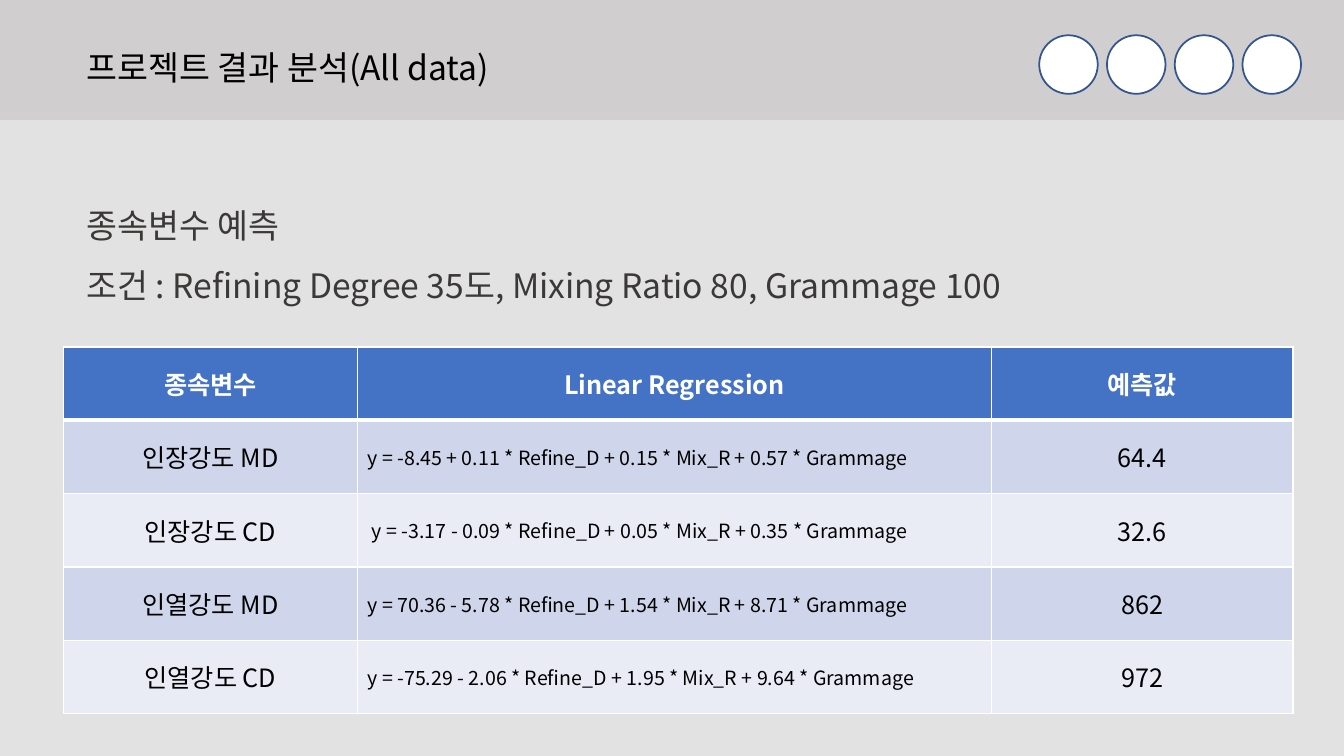
"""Build the slide of predicted dependent variables."""
import lxml.etree
import pptx
import pptx.dml.color
import pptx.enum.shapes
import pptx.enum.text
import pptx.oxml
import pptx.oxml.ns
import pptx.util

Pt = pptx.util.Pt
RGBColor = pptx.dml.color.RGBColor
Shape = pptx.enum.shapes.MSO_SHAPE
Align = pptx.enum.text.PP_ALIGN
Anchor = pptx.enum.text.MSO_ANCHOR
qn = pptx.oxml.ns.qn

FONT = "Noto Sans CJK KR"
BLACK = RGBColor(0, 0, 0)
WHITE = RGBColor(255, 255, 255)
GRAY = RGBColor(0xD0, 0xCE, 0xCE)
PANEL = RGBColor(0xE7, 0xE6, 0xE6)
DARK = RGBColor(0x3B, 0x38, 0x38)
NAVY = RGBColor(0x32, 0x54, 0x91)
BLUE = RGBColor(0x44, 0x72, 0xC4)
BANDS = [RGBColor(0xCF, 0xD5, 0xEA), RGBColor(0xE9, 0xEB, 0xF5)]


def write(para, text, size, color, bold=False):
    run = para.add_run()
    run.text = text
    font = run.font
    font.size, font.bold, font.name = Pt(size), bold, FONT
    font.color.rgb = color
    east = lxml.etree.SubElement(run._r.get_or_add_rPr(), qn("a:ea"))
    east.set("typeface", FONT)


def edge(cell, side, width):
    line = pptx.oxml.parse_xml(
        f'<a:ln{side} xmlns:a="http://schemas.openxmlformats.org/drawingml/2006/main"'
        f' w="{Pt(width)}"><a:solidFill><a:srgbClr val="{WHITE}"/></a:solidFill></a:ln{side}>')
    cell._tc.get_or_add_tcPr().append(line)


deck = pptx.Presentation()
deck.slide_width, deck.slide_height = Pt(960), Pt(540)
slide = deck.slides.add_slide(deck.slide_layouts[5])
back = slide.background.fill
back.solid()
back.fore_color.rgb = GRAY

for i in range(4):
    dot = slide.shapes.add_shape(Shape.OVAL, Pt(742.3 + 48.4 * i), Pt(25.2), Pt(41.8), Pt(41.8))
    dot.shadow.inherit = False
    dot.fill.solid()
    dot.fill.fore_color.rgb = WHITE
    dot.line.color.rgb = NAVY
    dot.line.width = Pt(1.25)

panel = slide.shapes.add_shape(Shape.RECTANGLE, 0, Pt(85.7), Pt(960), Pt(454.3))
panel.shadow.inherit = False
panel.fill.solid()
panel.fill.fore_color.rgb = PANEL
tint = panel.fill._xPr.find(".//" + qn("a:srgbClr"))
lxml.etree.SubElement(tint, qn("a:alpha")).set("val", "85000")
panel.line.fill.background()

title = slide.shapes.title
title.left, title.top, title.width, title.height = Pt(54.7), Pt(30.2), Pt(356.4), Pt(36.3)
frame = title.text_frame
frame.auto_size = pptx.enum.text.MSO_AUTO_SIZE.NONE
frame.vertical_anchor = Anchor.TOP
frame.paragraphs[0].alignment = Align.LEFT
write(frame.paragraphs[0], "프로젝트 결과 분석(All data)", 24, BLACK)

ROWS = [
    ("종속변수", "Linear Regression", "예측값"),
    ("인장강도 MD", "y = -8.45 + 0.11 * Refine_D + 0.15 * Mix_R + 0.57 * Grammage", "64.4"),
    ("인장강도 CD", " y = -3.17 - 0.09 * Refine_D + 0.05 * Mix_R + 0.35 * Grammage", "32.6"),
    ("인열강도 MD", "y = 70.36 - 5.78 * Refine_D + 1.54 * Mix_R + 8.71 * Grammage", "862"),
    ("인열강도 CD", "y = -75.29 - 2.06 * Refine_D + 1.95 * Mix_R + 9.64 * Grammage", "972"),
]
table = slide.shapes.add_table(5, 3, Pt(45.3), Pt(247.8), Pt(878.4), Pt(262)).table
for col, width in zip(table.columns, (210, 453, 215.4)):
    col.width = Pt(width)
for r, row in enumerate(ROWS):
    table.rows[r].height = Pt(52.4)
    head = r == 0
    for c, text in enumerate(row):
        cell = table.cell(r, c)
        cell.vertical_anchor = Anchor.MIDDLE
        for side in "LRTB":
            thick = (head and side == "B") or (r == 1 and side == "T")
            edge(cell, side, 3 if thick else 1)
        cell.fill.solid()
        cell.fill.fore_color.rgb = BLUE if head else BANDS[(r - 1) % 2]
        rule = c == 1 and not head
        para = cell.text_frame.paragraphs[0]
        para.alignment = Align.LEFT if rule else Align.CENTER
        write(para, text, 14 if rule else 18, WHITE if head else BLACK, head)

box = slide.shapes.add_textbox(Pt(54.7), Pt(128.2), Pt(699.8), Pt(89.3))
frame = box.text_frame
frame.word_wrap = True
notes = ["종속변수 예측", "조건 : Refining Degree 35도, Mixing Ratio 80, Grammage 100"]
for i, text in enumerate(notes):
    para = frame.add_paragraph() if i else frame.paragraphs[0]
    para.line_spacing = 1.5
    write(para, text, 24, DARK)

deck.save("out.pptx")
